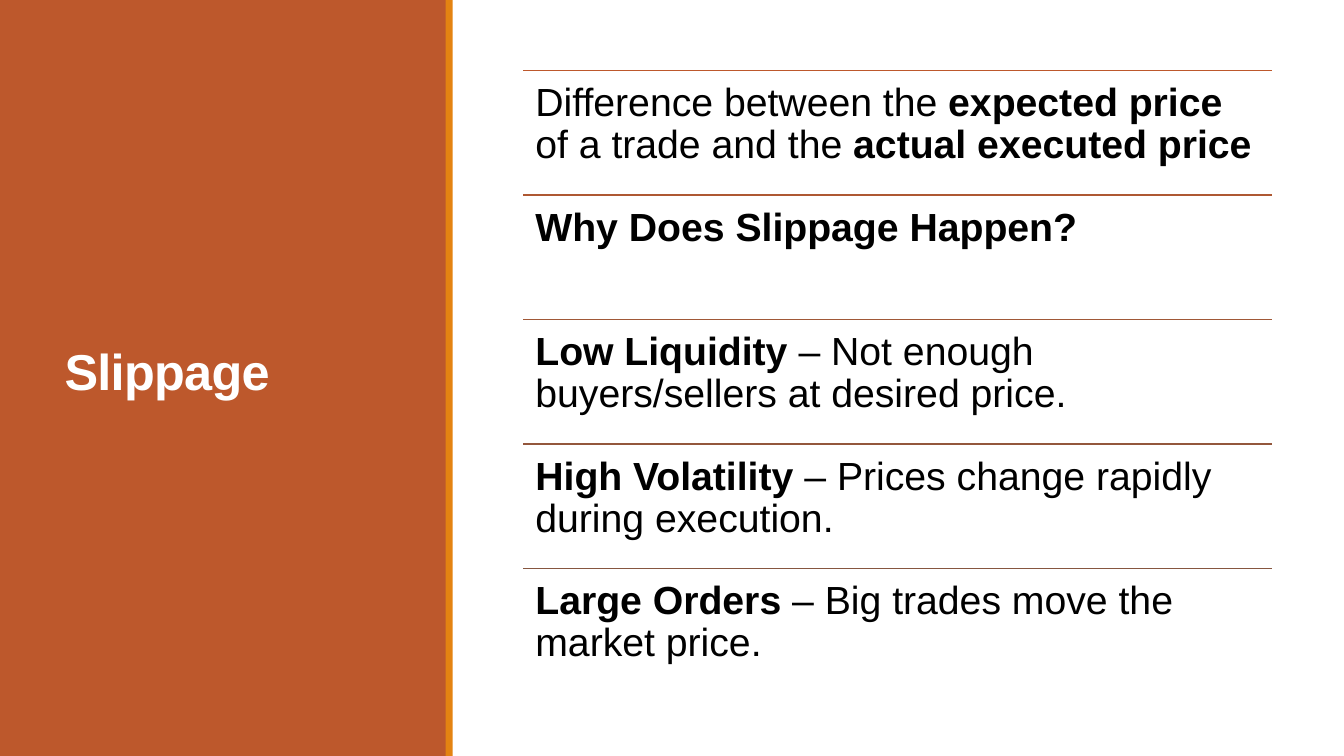
from dataclasses import dataclass

from lxml import etree
from pptx import Presentation
from pptx.dml.color import RGBColor
from pptx.enum.shapes import MSO_CONNECTOR, MSO_SHAPE
from pptx.enum.text import MSO_ANCHOR, MSO_AUTO_SIZE, PP_ALIGN
from pptx.oxml.ns import qn
from pptx.slide import Slide
from pptx.text.text import Font
from pptx.util import Inches, Pt

LINE = MSO_CONNECTOR.STRAIGHT
RECT = MSO_SHAPE.RECTANGLE
MIDDLE = MSO_ANCHOR.MIDDLE
TOP = MSO_ANCHOR.TOP
LEFT = PP_ALIGN.LEFT
FIXED = MSO_AUTO_SIZE.NONE

RUST, AMBER, WHITE, BLACK = "BD582C", "E48312", "FFFFFF", "000000"
HIGH = 7.5
ROW_X, ROW_W = 5.19, 7.43
FIRST_Y, LAST_Y = 0.7, 5.64


@dataclass
class Panel:
    x: float
    width: float
    color: str


@dataclass
class Phrase:
    text: str
    bold: bool = False


@dataclass
class Row:
    color: str
    phrases: list[Phrase]


PANELS = [Panel(0, 4.43, RUST), Panel(4.42, 0.07, AMBER)]

ROWS = [
    Row(RUST, [
        Phrase("Difference between the "),
        Phrase("expected price", True),
        Phrase(" of a trade and the "),
        Phrase("actual executed price", True),
    ]),
    Row("AE5832", [Phrase("Why Does Slippage Happen?", True)]),
    Row("A05837", [
        Phrase("Low Liquidity", True),
        Phrase(" – Not enough buyers/sellers at desired price."),
    ]),
    Row("93573C", [
        Phrase("High Volatility", True),
        Phrase(" – Prices change rapidly during execution."),
    ]),
    Row("865640", [
        Phrase("Large Orders", True),
        Phrase(" – Big trades move the market price."),
    ]),
]
STEP = (LAST_Y - FIRST_Y) / (len(ROWS) - 1)


def rgb(code: str) -> RGBColor:
    return RGBColor.from_string(code)


def style(font: Font, size: float, color: str, bold: bool) -> None:
    font.name = "Arial"
    font.size = Pt(size)
    font.color.rgb = rgb(color)
    font.bold = bold


def draw_panel(slide: Slide, panel: Panel) -> None:
    shape = slide.shapes.add_shape(
        RECT, Inches(panel.x), 0, Inches(panel.width), Inches(HIGH))
    shape.shadow.inherit = False
    shape.fill.solid()
    shape.fill.fore_color.rgb = rgb(panel.color)
    shape.line.fill.background()


def draw_title(slide: Slide, text: str) -> None:
    """Fill the title and raise it above the panels."""
    title = slide.shapes.title
    title.left, title.top = Inches(0.54), Inches(0.57)
    title.width, title.height = Inches(3.37), Inches(6.31)
    frame = title.text_frame
    frame.text = text
    frame.word_wrap = True
    frame.auto_size = FIXED
    frame.vertical_anchor = MIDDLE
    para = frame.paragraphs[0]
    para.alignment = LEFT
    para.line_spacing = 0.85
    run = para.runs[0]
    style(run.font, 36, WHITE, True)
    run._r.get_or_add_rPr().set("spc", "-50")
    slide.shapes._spTree.append(title._element)


def draw_rule(slide: Slide, y: float, color: str) -> None:
    rule = slide.shapes.add_connector(
        LINE, Inches(ROW_X), Inches(y), Inches(ROW_X + ROW_W), Inches(y))
    rule.line.color.rgb = rgb(color)
    rule.line.width = Pt(1.25)
    etree.SubElement(rule._element.spPr, qn("a:effectLst"))


def draw_row(slide: Slide, y: float, row: Row) -> None:
    draw_rule(slide, y, row.color)
    box = slide.shapes.add_textbox(
        Inches(ROW_X), Inches(y), Inches(ROW_W), Inches(STEP))
    frame = box.text_frame
    frame.word_wrap = True
    frame.auto_size = FIXED
    frame.vertical_anchor = TOP
    frame.margin_left = frame.margin_right = Inches(0.12)
    frame.margin_top = frame.margin_bottom = Inches(0.12)
    para = frame.paragraphs[0]
    para.alignment = LEFT
    para.line_spacing = 0.9
    for phrase in row.phrases:
        run = para.add_run()
        run.text = phrase.text
        style(run.font, 28, BLACK, phrase.bold)


def main() -> None:
    deck = Presentation()
    deck.slide_width, deck.slide_height = Inches(13.33), Inches(HIGH)
    slide = deck.slides.add_slide(deck.slide_layouts.get_by_name("Title Only"))
    slide.background.fill.solid()
    slide.background.fill.fore_color.rgb = rgb(WHITE)
    for panel in PANELS:
        draw_panel(slide, panel)
    draw_title(slide, "Slippage")
    for i, row in enumerate(ROWS):
        draw_row(slide, FIRST_Y + i * STEP, row)
    deck.save("out.pptx")


if __name__ == "__main__":
    main()
